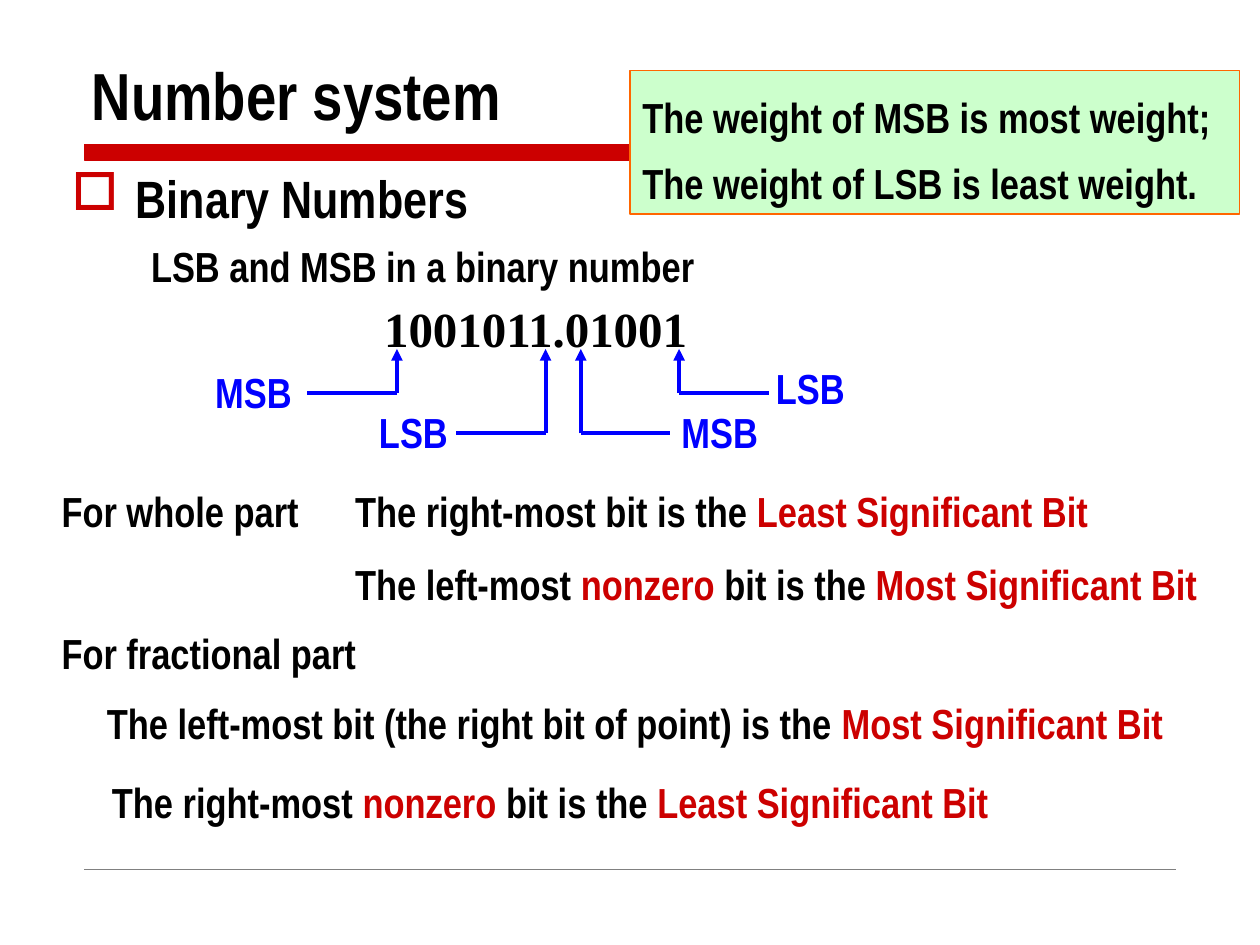
from lxml import etree
from pptx import Presentation
from pptx.dml.color import RGBColor
from pptx.enum.shapes import MSO_CONNECTOR, MSO_SHAPE
from pptx.enum.text import MSO_ANCHOR, PP_ALIGN
from pptx.oxml.ns import qn
from pptx.util import Inches, Pt

RECTANGLE = MSO_SHAPE.RECTANGLE
STRAIGHT = MSO_CONNECTOR.STRAIGHT
TOP, MIDDLE, BOTTOM = MSO_ANCHOR.TOP, MSO_ANCHOR.MIDDLE, MSO_ANCHOR.BOTTOM
LEFT = PP_ALIGN.LEFT

BLACK = RGBColor(0x00, 0x00, 0x00)
RED = RGBColor(0xCC, 0x00, 0x00)
BLUE = RGBColor(0x00, 0x00, 0xFF)
GREEN = RGBColor(0xCC, 0xFF, 0xCC)
ORANGE = RGBColor(0xFF, 0x66, 0x00)
GRAY = RGBColor(0x80, 0x80, 0x80)
NARROW, SERIF = "Arial Narrow", "Times New Roman"

# Content: runs are (text, colour)
TITLE = [("Number system", BLACK)]
HEADING = [("Binary Numbers", BLACK)]
NUMBER = [("1001011.01001", BLACK)]
WEIGHT_NOTE = [("The weight of MSB is most weight; "
                "The weight of LSB is least weight.", BLACK)]

# Statements: left, top, width, runs
STATEMENTS = [
    (1.1, 1.78, 5.59, [("LSB and MSB in a binary number", BLACK)]),
    (0.39, 3.72, 3.27, [("For whole part", BLACK)]),
    (2.72, 3.72, 6.5, [("The right-most bit is the ", BLACK),
                       ("Least Significant Bit", RED)]),
    (2.72, 4.3, 7.25, [("The left-most ", BLACK), ("nonzero", RED),
                       (" bit is the ", BLACK), ("Most Significant Bit", RED)]),
    (0.39, 4.85, 3.27, [("For fractional part", BLACK)]),
    (0.75, 5.41, 8.98, [("The left-most bit (the right bit of point) is the ", BLACK),
                        ("Most Significant Bit", RED)]),
    (0.79, 6.03, 8.46, [("The right-most ", BLACK), ("nonzero", RED),
                        (" bit is the ", BLACK), ("Least Significant Bit", RED)]),
]

# Bit pointers: label, bit x, elbow y, side of the label, label left, label top
POINTERS = [
    ("MSB", 3.15, 3.12, -1, 1.61, 2.8),
    ("LSB", 4.33, 3.44, -1, 2.91, 3.12),
    ("MSB", 4.61, 3.44, 1, 5.31, 3.12),
    ("LSB", 5.39, 3.12, 1, 6.06, 2.77),
]
ARROW_TIP_Y = 2.77
ARM_LENGTH = 0.71


def write_text(shape, runs, size, font=NARROW, spacing=1.0, anchor=TOP):
    frame = shape.text_frame
    frame.word_wrap = True
    frame.vertical_anchor = anchor
    paragraph = frame.paragraphs[0]
    paragraph.alignment = LEFT
    paragraph.line_spacing = spacing
    for text, color in runs:
        run = paragraph.add_run()
        run.text = text
        run.font.name = font
        run.font.size = Pt(size)
        run.font.bold = True
        run.font.color.rgb = color
    return paragraph


def add_text(slide, left, top, width, height, runs, size, **style):
    box = slide.shapes.add_textbox(Inches(left), Inches(top),
                                   Inches(width), Inches(height))
    return write_text(box, runs, size, **style)


def add_line(slide, start, end, color, width, arrow=False):
    x1, y1, x2, y2 = (Inches(value) for value in (*start, *end))
    connector = slide.shapes.add_connector(STRAIGHT, x1, y1, x2, y2)
    connector.line.color.rgb = color
    connector.line.width = Pt(width)
    if arrow:
        etree.SubElement(connector.line._get_or_add_ln(), qn("a:tailEnd"), type="triangle")
    etree.SubElement(connector._element.spPr, qn("a:effectLst"))


def add_title_rule(slide):
    left, top, bottom, bar_right, rule_right = 0.67, 1.15, 1.27, 5.76, 9.37
    builder = slide.shapes.build_freeform(Inches(left), Inches(top), scale=1.0)
    bar = [(bar_right, top), (bar_right, bottom), (left, bottom)]
    builder.add_line_segments([(Inches(x), Inches(y)) for x, y in bar], close=True)
    builder.move_to(Inches(left), Inches(top))
    builder.add_line_segments([(Inches(rule_right), Inches(top))], close=False)
    style_shape(builder.convert_to_shape(), RED, RED)


def style_shape(shape, fill, line):
    shape.shadow.inherit = False
    shape.fill.solid()
    shape.fill.fore_color.rgb = fill
    shape.line.color.rgb = line
    shape.line.width = Pt(0.75)


def add_square_bullet(paragraph, indent):
    properties = paragraph._p.get_or_add_pPr()
    properties.set("marL", str(indent))
    properties.set("indent", str(-indent))
    color = etree.SubElement(properties, qn("a:buClr"))
    etree.SubElement(color, qn("a:srgbClr"), val=str(RED))
    etree.SubElement(properties, qn("a:buChar"), char="□")


def main():
    presentation = Presentation()
    presentation.slide_width = Inches(10)
    presentation.slide_height = Inches(7.5)
    slide = presentation.slides.add_slide(presentation.slide_layouts[6])

    # Rules, title and heading
    add_title_rule(slide)
    add_line(slide, (0.67, 6.9), (9.33, 6.9), GRAY, 0.25)
    add_text(slide, 0.63, 0.28, 8.75, 0.83, TITLE, 38, anchor=BOTTOM)
    heading = add_text(slide, 0.47, 1.27, 8.75, 0.6, HEADING, 30)
    add_square_bullet(heading, Inches(0.51))

    # Statements
    for left, top, width, runs in STATEMENTS:
        add_text(slide, left, top, width, 0.58, runs, 24, spacing=1.2)

    # Binary number with its bit pointers
    add_text(slide, 2.95, 2.25, 2.64, 0.64, NUMBER, 28,
             font=SERIF, spacing=1.15, anchor=MIDDLE)
    for label, bit_x, elbow_y, side, left, top in POINTERS:
        elbow = (bit_x, elbow_y)
        add_line(slide, elbow, (bit_x, ARROW_TIP_Y), BLUE, 2.25, arrow=True)
        add_line(slide, elbow, (bit_x + side * ARM_LENGTH, elbow_y), BLUE, 2.25)
        add_text(slide, left, top, 0.83, 0.56, [(label, BLUE)], 24, spacing=1.15)

    # Note on bit weights
    note = slide.shapes.add_shape(RECTANGLE, Inches(5), Inches(0.56),
                                  Inches(4.84), Inches(1.14))
    style_shape(note, GREEN, ORANGE)
    write_text(note, WEIGHT_NOTE, 24, spacing=1.3)

    presentation.save("out.pptx")


if __name__ == "__main__":
    main()
